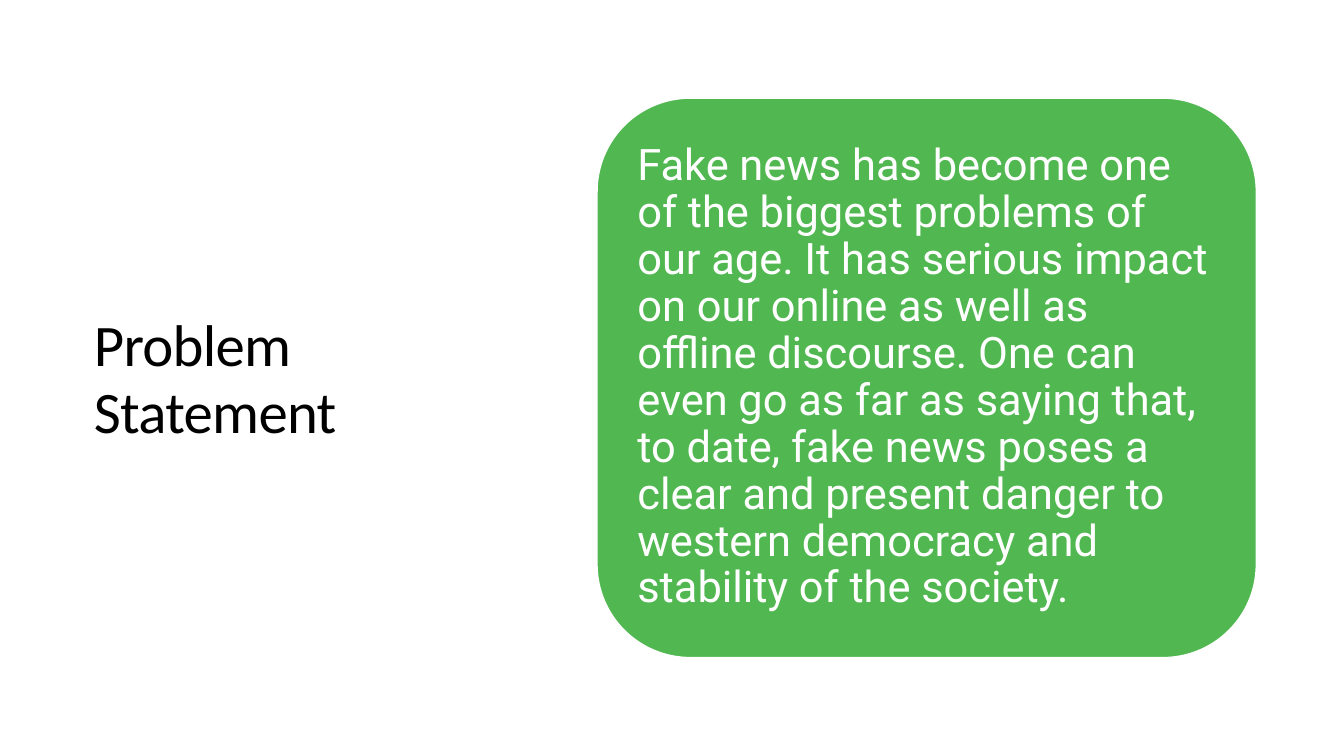
from pptx import Presentation
from pptx.dml.color import RGBColor as RGB
from pptx.enum.shapes import MSO_SHAPE as Shape
from pptx.enum.text import MSO_ANCHOR as Anchor, PP_ALIGN as Align
from pptx.util import Pt

TITLE = "Problem Statement"
BODY = (
    "Fake news has become one of the biggest problems of our age. "
    "It has serious impact on our online as well as offline discourse. "
    "One can even go as far as saying that, to date, fake news poses a "
    "clear and present danger to western democracy and stability of the society."
)

SIZE = (960, 540)
TITLE_BOX = (60, 61.2, 307.4, 420.5)
CARD_BOX = (426.5, 70.1, 470.9, 399.6)


class Theme:
    white = RGB(0xFF, 0xFF, 0xFF)
    black = RGB(0, 0, 0)
    green = RGB(0x51, 0xB8, 0x51)
    title = dict(font="Calibri", size=42, color=black, lead=0.95, pad=(7.2, 3.6))
    body = dict(font="Roboto", size=31, color=white, lead=0.9, pad=(9.3, 9.3))


def write(shape, text, font, size, color, lead, pad):
    """Set one left-aligned, vertically centred paragraph and return its run."""
    frame = shape.text_frame
    frame.word_wrap = True
    frame.vertical_anchor = Anchor.MIDDLE
    frame.margin_left = frame.margin_right = Pt(pad[0])
    frame.margin_top = frame.margin_bottom = Pt(pad[1])
    para = frame.paragraphs[0]
    para.alignment = Align.LEFT
    para.line_spacing = lead
    run = para.add_run()
    run.text = text
    run.font.name = font
    run.font.size = Pt(size)
    run.font.color.rgb = color
    return run


def main():
    deck = Presentation()
    deck.slide_width, deck.slide_height = map(Pt, SIZE)
    slide = deck.slides.add_slide(deck.slide_layouts[6])

    title = slide.shapes.add_textbox(*map(Pt, TITLE_BOX))
    run = write(title, TITLE, **Theme.title)
    run.font._element.set("spc", "-50")

    card = slide.shapes.add_shape(Shape.ROUNDED_RECTANGLE, *map(Pt, CARD_BOX))
    card.shadow.inherit = False
    card.fill.solid()
    card.fill.fore_color.rgb = Theme.green
    card.line.color.rgb = Theme.white
    card.line.width = Pt(1)
    write(card, BODY, **Theme.body)

    deck.save("out.pptx")


if __name__ == "__main__":
    main()
